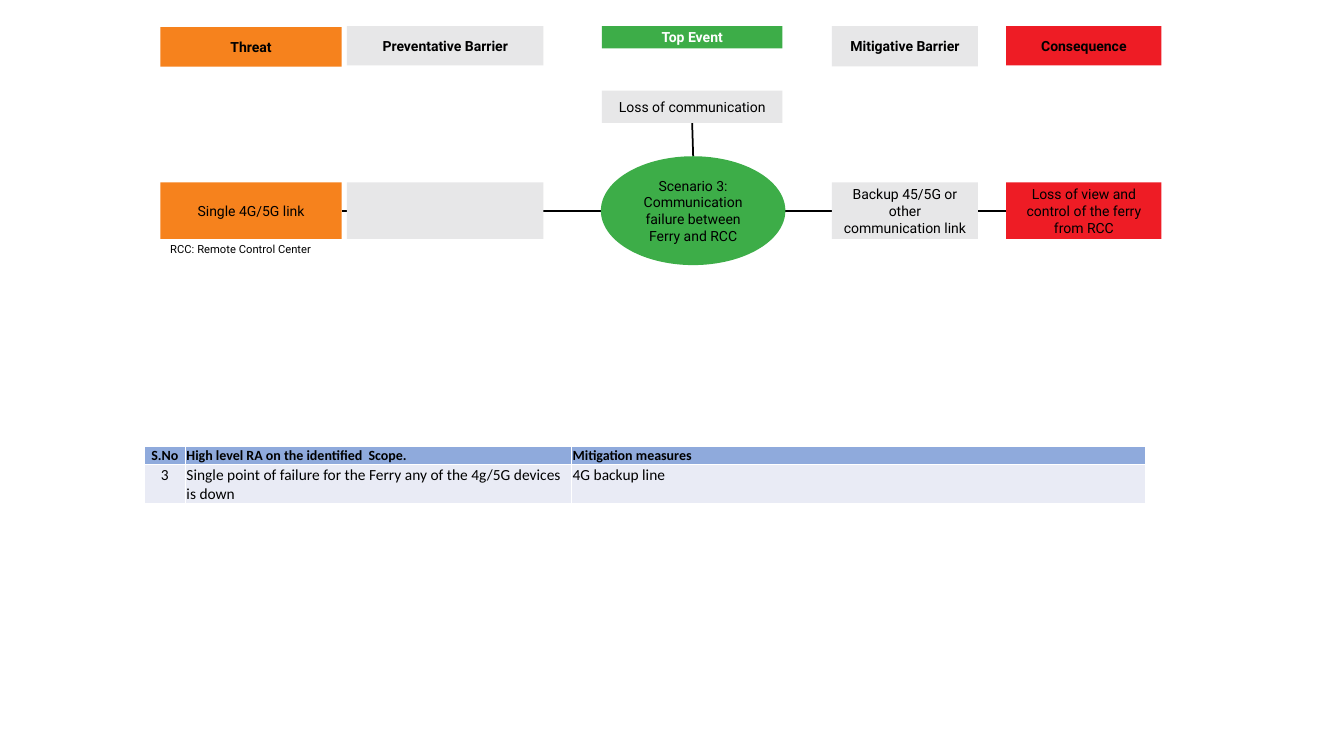
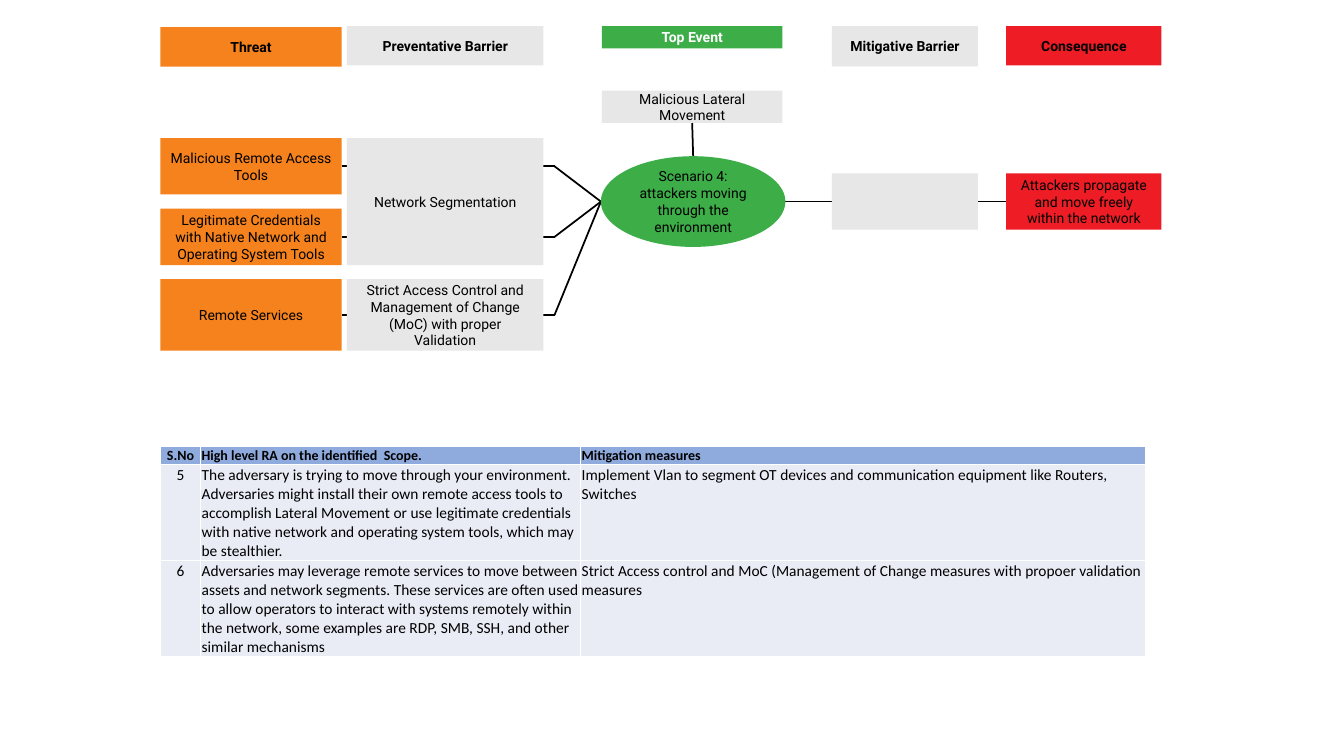
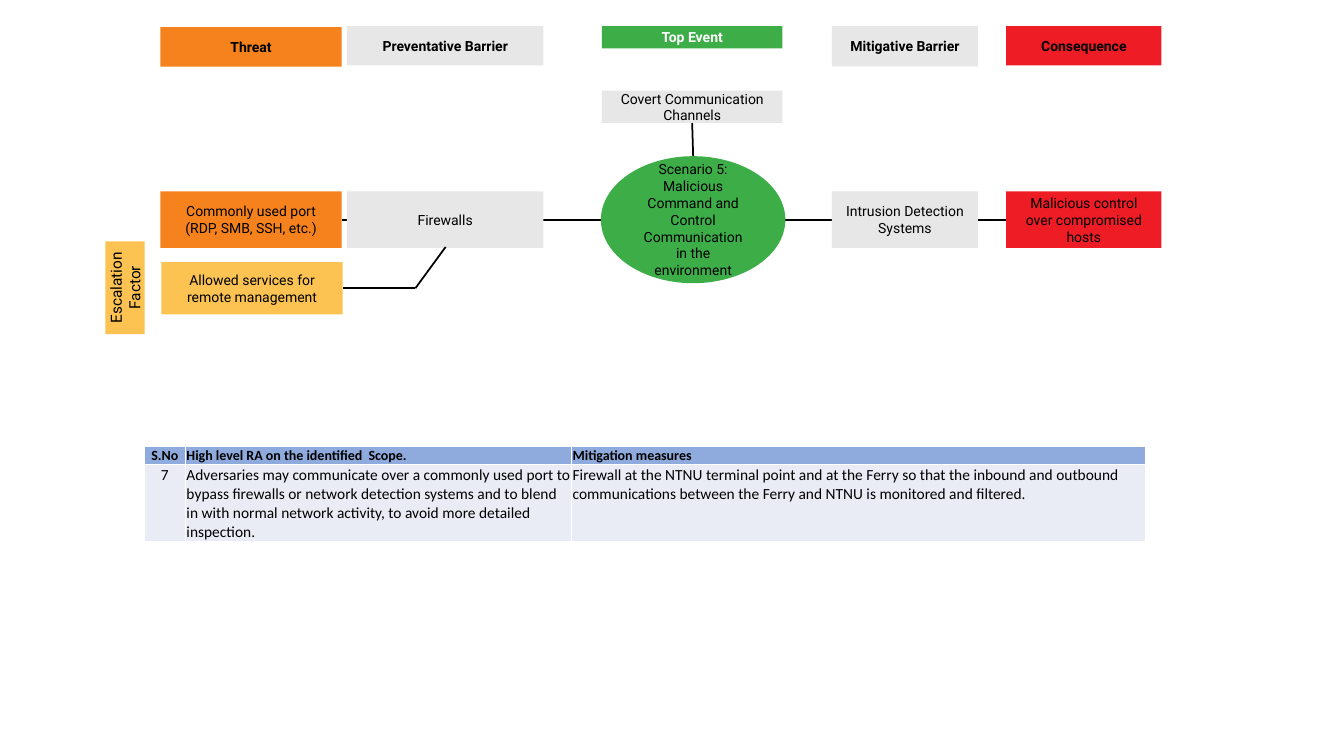
from dataclasses import dataclass

from lxml import etree
from pptx import Presentation
from pptx.dml.color import RGBColor
from pptx.enum import shapes, text
from pptx.oxml import ns
from pptx.util import Inches, Pt

ORANGE = RGBColor(0xF6, 0x82, 0x1D)
GREY = RGBColor(0xE7, 0xE7, 0xE8)
GREEN = RGBColor(0x3D, 0xAD, 0x48)
RED = RGBColor(0xEE, 0x1C, 0x25)
YELLOW = RGBColor(0xFC, 0xC3, 0x52)
HEADER_BLUE = RGBColor(0x8F, 0xAA, 0xDC)
ROW_BLUE = RGBColor(0xE9, 0xEB, 0xF5)
BLACK = RGBColor(0, 0, 0)
WHITE = RGBColor(0xFF, 0xFF, 0xFF)

DIAGRAM_FONT = "Roboto"
TABLE_FONT = "Calibri"
RECTANGLE = shapes.MSO_SHAPE.RECTANGLE
OVAL = shapes.MSO_SHAPE.OVAL
CENTER = text.PP_ALIGN.CENTER

DIAGRAM_LEFT, DIAGRAM_TOP = 1.59, 0.26
THREAT, PREVENTION, EVENT, MITIGATION, CONSEQUENCE = (
    (0, 1.8), (1.85, 1.95), (4.38, 1.79), (6.66, 1.45), (8.39, 1.54))
ELLIPSE_LEFT, ELLIPSE_TOP, ELLIPSE_WIDTH = 4.37, 1.29, 1.83
ELBOW = 3.91
BOX_HEIGHT = 0.56
HEADINGS = (
    ("Threat", THREAT, 0.01, 0.39, ORANGE, BLACK),
    ("Preventative Barrier", PREVENTION, 0, 0.39, GREY, BLACK),
    ("Top Event", EVENT, 0, 0.22, GREEN, WHITE),
    ("Mitigative Barrier", MITIGATION, 0, 0.4, GREY, BLACK),
    ("Consequence", CONSEQUENCE, 0, 0.39, RED, BLACK),
)

TABLE_TOP, TABLE_RIGHT = 4.43, 11.36
TABLE_HEADER = ("S.No", "High level RA on the identified  Scope.", "Mitigation measures")
HEADER_HEIGHT = 0.18


@dataclass
class Scenario:
    """One bow-tie; threats and barriers are (words, top, height)."""
    event: str
    name: str
    ellipse_height: float
    threats: list
    barriers: list
    mitigation: str
    consequence: str


def write(frame, words, size, font, color=BLACK, bold=False, align=None):
    """Fill a text frame, one paragraph for each line of words."""
    frame.word_wrap = True
    for index, line in enumerate(words.split("\n")):
        paragraph = frame.paragraphs[0] if index == 0 else frame.add_paragraph()
        paragraph.alignment = align
        run = paragraph.add_run()
        run.text = line
        run.font.size = Pt(size)
        run.font.name = font
        run.font.bold = bold
        run.font.color.rgb = color


def add_box(slide, words, left, top, width, height, fill,
            preset=RECTANGLE, size=10, color=BLACK, bold=False):
    """Add a filled shape with centred words."""
    shape = slide.shapes.add_shape(
        preset, Inches(left), Inches(top), Inches(width), Inches(height))
    shape.shadow.inherit = False
    shape.fill.solid()
    shape.fill.fore_color.rgb = fill
    shape.line.fill.background()
    shape.text_frame.vertical_anchor = text.MSO_ANCHOR.MIDDLE
    if words:
        write(shape.text_frame, words, size, DIAGRAM_FONT, color, bold, CENTER)
    return shape


def add_path(slide, *points):
    """Join the points with straight black connectors."""
    for (x1, y1), (x2, y2) in zip(points, points[1:]):
        line = slide.shapes.add_connector(
            shapes.MSO_CONNECTOR.STRAIGHT, Inches(x1), Inches(y1), Inches(x2), Inches(y2))
        line.line.color.rgb = BLACK
        line.line.width = Pt(1.25)
        etree.SubElement(line._element.spPr, ns.qn("a:effectLst"))


def add_headings(slide, left, top):
    """Add the row of column headings."""
    for words, (offset, width), drop, height, fill, color in HEADINGS:
        add_box(slide, words, left + offset, top + drop, width, height, fill,
                color=color, bold=True)


def add_bow_tie(slide, scenario, left, top):
    """Add the headings, connectors and boxes of one scenario."""
    add_headings(slide, left, top)
    axis = top + ELLIPSE_TOP + scenario.ellipse_height / 2
    ellipse_left = left + ELLIPSE_LEFT
    ellipse_right = ellipse_left + ELLIPSE_WIDTH
    event_middle = left + EVENT[0] + EVENT[1] / 2

    add_path(slide, (event_middle, top + 0.96), (event_middle + 0.01, top + ELLIPSE_TOP))
    add_path(slide, (ellipse_right, axis), (left + CONSEQUENCE[0], axis))
    for _, drop, height in scenario.threats:
        middle = top + drop + height / 2
        add_path(slide, (left + THREAT[1], middle), (left + ELBOW, middle),
                 (ellipse_left, axis))

    columns = ((THREAT, ORANGE, scenario.threats), (PREVENTION, GREY, scenario.barriers))
    for (offset, width), fill, items in columns:
        for words, drop, height in items:
            add_box(slide, words, left + offset, top + drop, width, height, fill)

    add_box(slide, scenario.event, left + EVENT[0], top + 0.64, EVENT[1], 0.32, GREY)
    add_box(slide, scenario.name, ellipse_left, top + ELLIPSE_TOP, ELLIPSE_WIDTH,
            scenario.ellipse_height, GREEN, OVAL)
    outcomes = ((MITIGATION, GREY, scenario.mitigation),
                (CONSEQUENCE, RED, scenario.consequence))
    for (offset, width), fill, words in outcomes:
        add_box(slide, words, left + offset, axis - BOX_HEIGHT / 2, width, BOX_HEIGHT, fill)


def add_escalation(slide, words, left, top):
    """Add the escalation factor, its upright label and its link to the barrier."""
    width, height = 1.8, 0.52
    middle = top + height / 2
    add_path(slide, (left + width, middle), (left + 2.52, middle), (left + 2.82, top - 0.15))
    add_box(slide, words, left, top, width, height, YELLOW)
    label = add_box(slide, "Escalation Factor", left - 0.82, top + 0.06, 0.92, 0.39,
                    YELLOW, size=11)
    label.rotation = 270


def add_note(slide, words, left, top):
    """Add a small note under the diagram."""
    box = slide.shapes.add_textbox(Inches(left), Inches(top), Inches(2.04), Inches(0.24))
    write(box.text_frame, words, 8, DIAGRAM_FONT)


def style_cell(cell, words, is_header, align):
    """Give a cell its margins, white borders, fill and words."""
    cell.margin_left = cell.margin_right = cell.margin_top = Inches(0.01)
    cell.margin_bottom = 0
    cell.vertical_anchor = text.MSO_ANCHOR.BOTTOM if is_header else text.MSO_ANCHOR.TOP
    properties = cell._tc.get_or_add_tcPr()
    for side in ("lnL", "lnR", "lnT", "lnB"):
        border = etree.SubElement(properties, ns.qn(f"a:{side}"), w=str(Pt(1)))
        fill = etree.SubElement(border, ns.qn("a:solidFill"))
        etree.SubElement(fill, ns.qn("a:srgbClr"), val=str(WHITE))
    cell.fill.solid()
    cell.fill.fore_color.rgb = HEADER_BLUE if is_header else ROW_BLUE
    write(cell.text_frame, words, 10 if is_header else 11, TABLE_FONT,
          bold=is_header, align=align)


def add_risk_table(slide, rows, widths, row_height):
    """Add the risk table, ending at the shared right edge."""
    width = sum(widths)
    frame = slide.shapes.add_table(
        len(rows) + 1, len(widths), Inches(TABLE_RIGHT - width), Inches(TABLE_TOP),
        Inches(width), Inches(HEADER_HEIGHT + row_height * len(rows)))
    table = frame.table
    table.horz_banding = False
    for column, column_width in zip(table.columns, widths):
        column.width = Inches(column_width)
    for row_index, values in enumerate([TABLE_HEADER, *rows]):
        table.rows[row_index].height = Inches(row_height if row_index else HEADER_HEIGHT)
        for column_index, words in enumerate(values):
            style_cell(table.cell(row_index, column_index), words, row_index == 0,
                       CENTER if column_index == 0 else text.PP_ALIGN.LEFT)


def add_scenario_slide(presentation, scenario, rows, widths, row_height):
    """Add a slide with a bow-tie above its risk table."""
    slide = presentation.slides.add_slide(presentation.slide_layouts[6])
    add_bow_tie(slide, scenario, DIAGRAM_LEFT, DIAGRAM_TOP)
    add_risk_table(slide, rows, widths, row_height)
    return slide


def main():
    """Build and save the three scenario slides."""
    presentation = Presentation()
    presentation.slide_width = Inches(13.33)
    presentation.slide_height = Inches(7.5)
    wide, narrow = (0.41, 3.83, 5.69), (0.4, 3.77, 5.6)

    link_failure = Scenario(
        "Loss of communication",
        "Scenario 3:\nCommunication failure between Ferry and RCC", 1.08,
        [("Single 4G/5G link", 1.55, BOX_HEIGHT)],
        [("", 1.55, BOX_HEIGHT)],
        "Backup 45/5G or other communication link",
        "Loss of view and control of the ferry from RCC")
    slide = add_scenario_slide(presentation, link_failure, [
        ("3", "Single point of failure for the Ferry any of the 4g/5G devices is down",
         "4G backup line"),
    ], wide, 0.37)
    add_note(slide, "RCC: Remote Control Center", DIAGRAM_LEFT, 2.36)

    lateral_movement = Scenario(
        "Malicious Lateral Movement",
        "Scenario 4: attackers moving through the environment", 0.9,
        [("Malicious Remote Access Tools", 1.11, BOX_HEIGHT),
         ("Legitimate Credentials with Native Network and Operating System Tools",
          1.81, BOX_HEIGHT),
         ("Remote Services", 2.51, 0.71)],
        [("Network Segmentation", 1.11, 1.26),
         ("Strict Access Control and Management of Change (MoC) with proper Validation",
          2.51, 0.71)],
        "",
        "Attackers propagate and move freely within the network")
    add_scenario_slide(presentation, lateral_movement, [
        ("5", "The adversary is trying to move through your environment. Adversaries might "
              "install their own remote access tools to accomplish Lateral Movement or use "
              "legitimate credentials with native network and operating system tools, which "
              "may be stealthier.",
         "Implement Vlan to segment OT devices and communication equipment like Routers, "
         "Switches"),
        ("6", "Adversaries may leverage remote services to move between assets and network "
              "segments. These services are often used to allow operators to interact with "
              "systems remotely within the network, some examples are RDP, SMB, SSH, and "
              "other similar mechanisms",
         "Strict Access control and MoC (Management of Change measures with propoer "
         "validation measures"),
    ], narrow, 0.92)

    covert_channels = Scenario(
        "Covert Communication Channels",
        "Scenario 5:\nMalicious Command and Control Communication in the environment", 1.26,
        [("Commonly used port\n(RDP, SMB, SSH, etc.)", 1.64, BOX_HEIGHT)],
        [("Firewalls", 1.64, BOX_HEIGHT)],
        "Intrusion Detection Systems",
        "Malicious control over compromised hosts")
    slide = add_scenario_slide(presentation, covert_channels, [
        ("7", "Adversaries may communicate over a commonly used port to bypass firewalls or "
              "network detection systems and to blend in with normal network activity, to "
              "avoid more detailed inspection.",
         "Firewall at the NTNU terminal point and at the Ferry so that the inbound and "
         "outbound communications between the Ferry and NTNU is monitored and filtered."),
    ], wide, 0.74)
    add_escalation(slide, "Allowed services for remote management", 1.6, 2.6)

    presentation.save("out.pptx")


if __name__ == "__main__":
    main()
